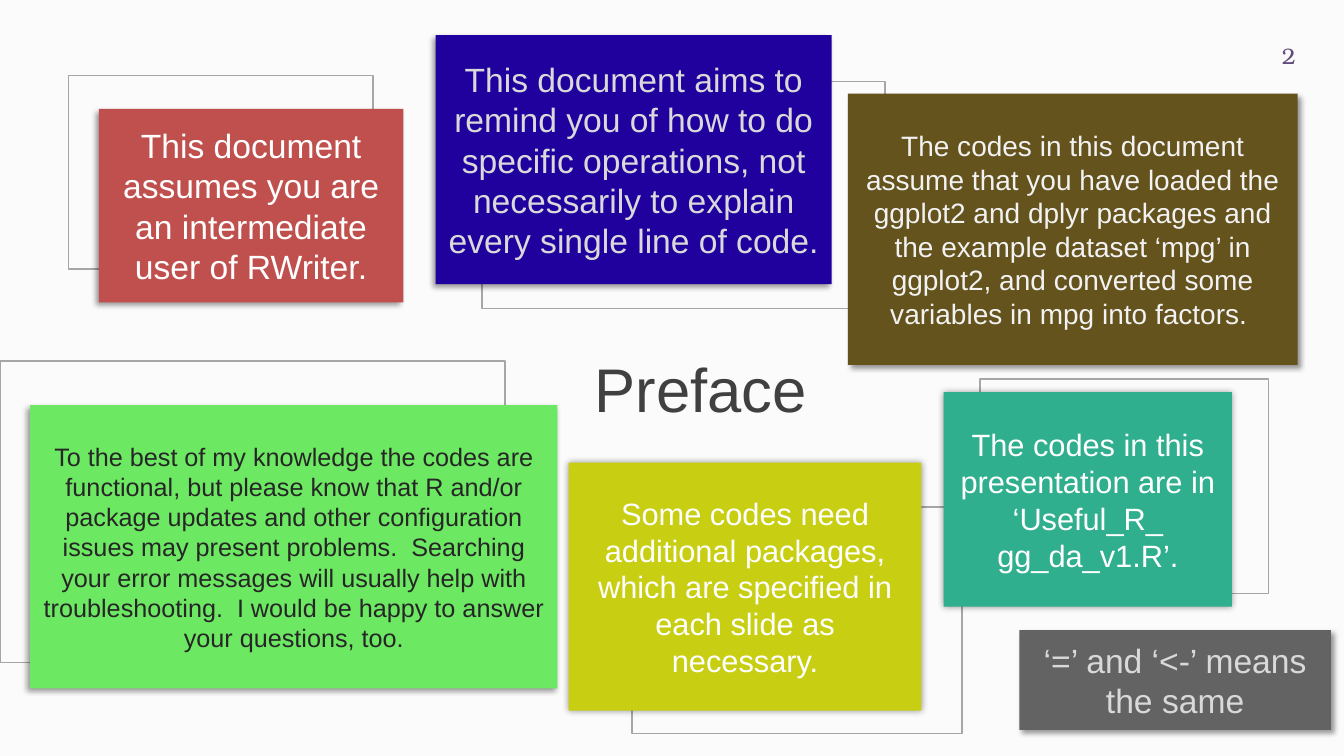
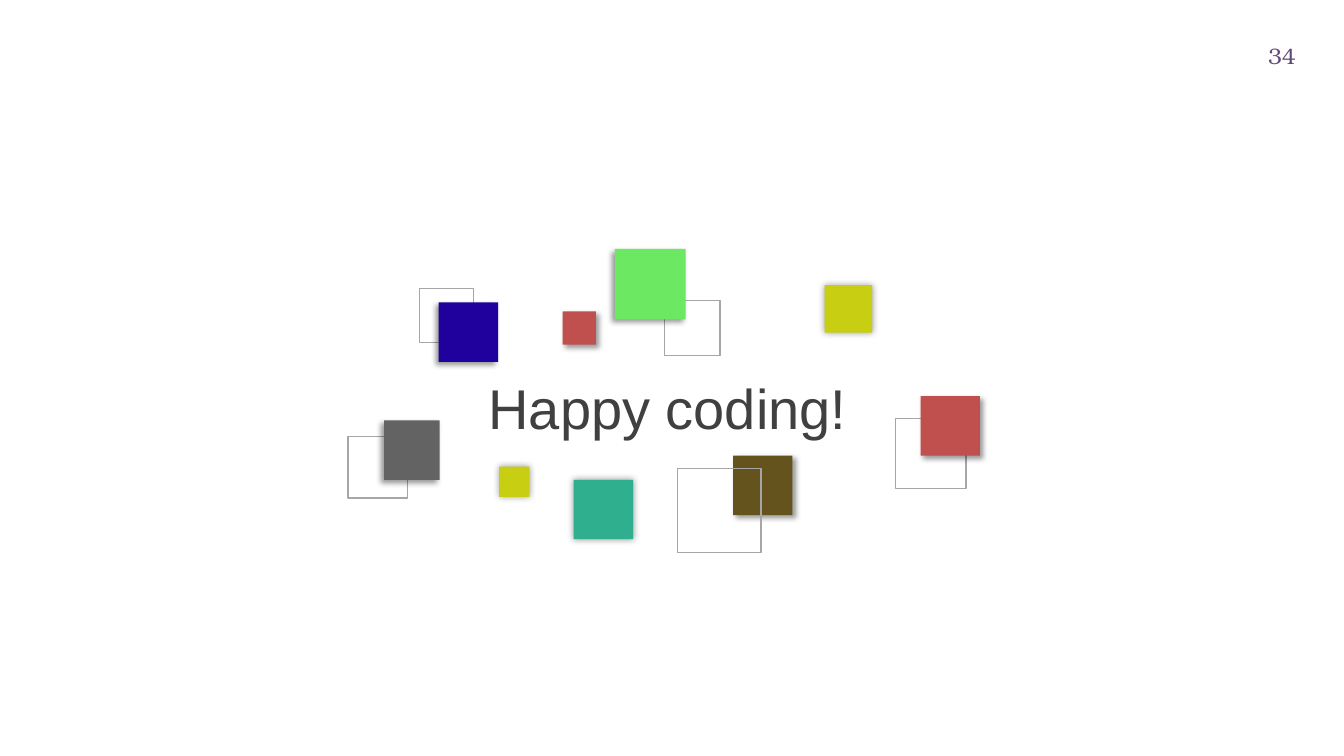
from lxml.etree import SubElement
from pptx import Presentation
from pptx.dml.color import RGBColor
from pptx.enum.shapes import MSO_SHAPE
from pptx.enum.text import MSO_ANCHOR, MSO_AUTO_SIZE, PP_ALIGN
from pptx.oxml.ns import qn
from pptx.util import Inches, Pt

BLUE, BROWN, GRAY, TEAL = "20019D", "64531D", "636363", "2FAF8E"
YELLOW, RED, GREEN = "C8CE12", "C0504D", "6CE862"
FRAME_LINE, TITLE_COLOR, NUMBER_COLOR = "A6A6A6", "404040", "604A7B"
WHITE, PALE, LIGHT, DARK = "FFFFFF", "F2F2F2", "D9D9D9", "262626"

LEFT_SHADOW = (4, 3, 135)
RIGHT_SHADOW = (4, 3, 45)
GLOW = (5, 0, 0)


def color(value):
    return RGBColor.from_string(value)


def write_text(shape, text, size, text_color, align=PP_ALIGN.CENTER, font="Arial"):
    frame = shape.text_frame
    frame.text = text
    frame.word_wrap = True
    frame.auto_size = MSO_AUTO_SIZE.NONE
    frame.vertical_anchor = MSO_ANCHOR.MIDDLE
    for para in frame.paragraphs:
        para.alignment = align
        for span in para.runs:
            span.font.name = font
            span.font.size = Pt(size)
            span.font.color.rgb = color(text_color)


preface_boxes = [
    ((9.72, 3.76, 2.86, 2.13), None, None, None),
    ((4.78, 0.81, 4, 2.25), None, None, None),
    ((6.27, 5.03, 3.27, 2.25), None, None, None),
    ((4.32, 0.35, 3.93, 2.47), BLUE, LEFT_SHADOW,
     ("This document aims to remind you of how to do specific operations, "
      "not necessarily to explain every single line of code.", 24, LIGHT)),
    ((8.41, 0.93, 4.46, 2.69), BROWN, RIGHT_SHADOW,
     ("The codes in this document assume that you have loaded the ggplot2 and dplyr "
      "packages and the example dataset ‘mpg’ in ggplot2, and converted some "
      "variables in mpg into factors. ", 20, PALE)),
    ((10.11, 6.25, 3.09, 0.99), GRAY, RIGHT_SHADOW,
     ("‘=’ and ‘<-’ means the same", 24, LIGHT)),
    ((0.68, 0.75, 3.02, 1.92), None, None, None),
    ((9.36, 3.89, 2.86, 2.13), TEAL, GLOW,
     ("The codes in this presentation are in ‘Useful_R_\ngg_da_v1.R’.", 22, WHITE)),
    ((5.64, 4.59, 3.5, 2.46), YELLOW, GLOW,
     ("Some codes need additional packages, which are specified in each slide "
      "as necessary.", 22, WHITE)),
    ((0.98, 1.08, 3.02, 1.92), RED, LEFT_SHADOW,
     ("This document assumes you are an intermediate user of RWriter.", 24, WHITE)),
    ((0, 3.58, 5.01, 2.99), None, None, None),
    ((0.3, 4.02, 5.23, 2.81), GREEN, LEFT_SHADOW,
     ("To the best of my knowledge the codes are functional, but please know that R "
      "and/or package updates and other configuration issues may present problems.  "
      "Searching your error messages will usually help with troubleshooting.  "
      "I would be happy to answer your questions, too.", 18, DARK)),
]

closing_boxes = [
    ((8.88, 4.15, 0.7, 0.7), None, None, None),
    ((4.16, 2.86, 0.54, 0.54), None, None, None),
    ((3.45, 4.33, 0.59, 0.61), None, None, None),
    ((4.35, 3, 0.59, 0.59), BLUE, LEFT_SHADOW, None),
    ((7.27, 4.52, 0.59, 0.59), BROWN, RIGHT_SHADOW, None),
    ((9.13, 3.93, 0.59, 0.59), RED, RIGHT_SHADOW, None),
    ((5.69, 4.76, 0.59, 0.59), TEAL, GLOW, None),
    ((8.18, 2.83, 0.47, 0.47), YELLOW, GLOW, None),
    ((3.81, 4.17, 0.55, 0.59), GRAY, LEFT_SHADOW, None),
    ((6.59, 2.98, 0.55, 0.55), None, None, None),
    ((6.1, 2.47, 0.7, 0.7), GREEN, LEFT_SHADOW, None),
    ((6.72, 4.65, 0.83, 0.83), None, None, None),
    ((4.95, 4.63, 0.3, 0.3), YELLOW, GLOW, None),
    ((5.58, 3.09, 0.33, 0.33), RED, RIGHT_SHADOW, None),
]

pages = [
    ("Preface", 44, (5.64, 3.38, 2.62, 0.83), "2", "FBFBFB", preface_boxes),
    ("Happy coding!", 40, (4.48, 3.57, 4.28, 0.83), "34", "FFFFFF", closing_boxes),
]

deck = Presentation()
deck.slide_width = Inches(13.33)
deck.slide_height = Inches(7.5)

for title_text, title_size, title_place, number_text, background, boxes in pages:
    page = deck.slides.add_slide(deck.slide_layouts[5])
    page.background.fill.solid()
    page.background.fill.fore_color.rgb = color(background)

    title = page.shapes.title
    title.left, title.top, title.width, title.height = map(Inches, title_place)
    write_text(title, title_text, title_size, TITLE_COLOR)
    title.text_frame.margin_top = Inches(0.3)
    title.text_frame.margin_bottom = Inches(0.2)

    number = page.shapes.add_textbox(*map(Inches, (12.15, 0.35, 0.8, 0.4)))
    write_text(number, number_text, 16, NUMBER_COLOR, PP_ALIGN.RIGHT, "TeX Gyre Bonum")

    for place, fill, shadow, content in boxes:
        box = page.shapes.add_shape(MSO_SHAPE.RECTANGLE, *map(Inches, place))
        box.shadow.inherit = False
        if fill is None:
            box.fill.background()
            box.line.color.rgb = color(FRAME_LINE)
            box.line.width = Pt(1)
            continue
        box.fill.solid()
        box.fill.fore_color.rgb = color(fill)
        box.line.fill.background()
        blur, distance, angle = shadow
        effects = box._element.spPr.find(qn("a:effectLst"))
        outer = SubElement(effects, qn("a:outerShdw"), blurRad=str(Pt(blur)),
                           dist=str(Pt(distance)), dir=str(angle * 60000),
                           algn="ctr", rotWithShape="0")
        shade = SubElement(outer, qn("a:srgbClr"), val="000000")
        SubElement(shade, qn("a:alpha"), val="40000")
        if content:
            write_text(box, *content)

deck.save("out.pptx")
